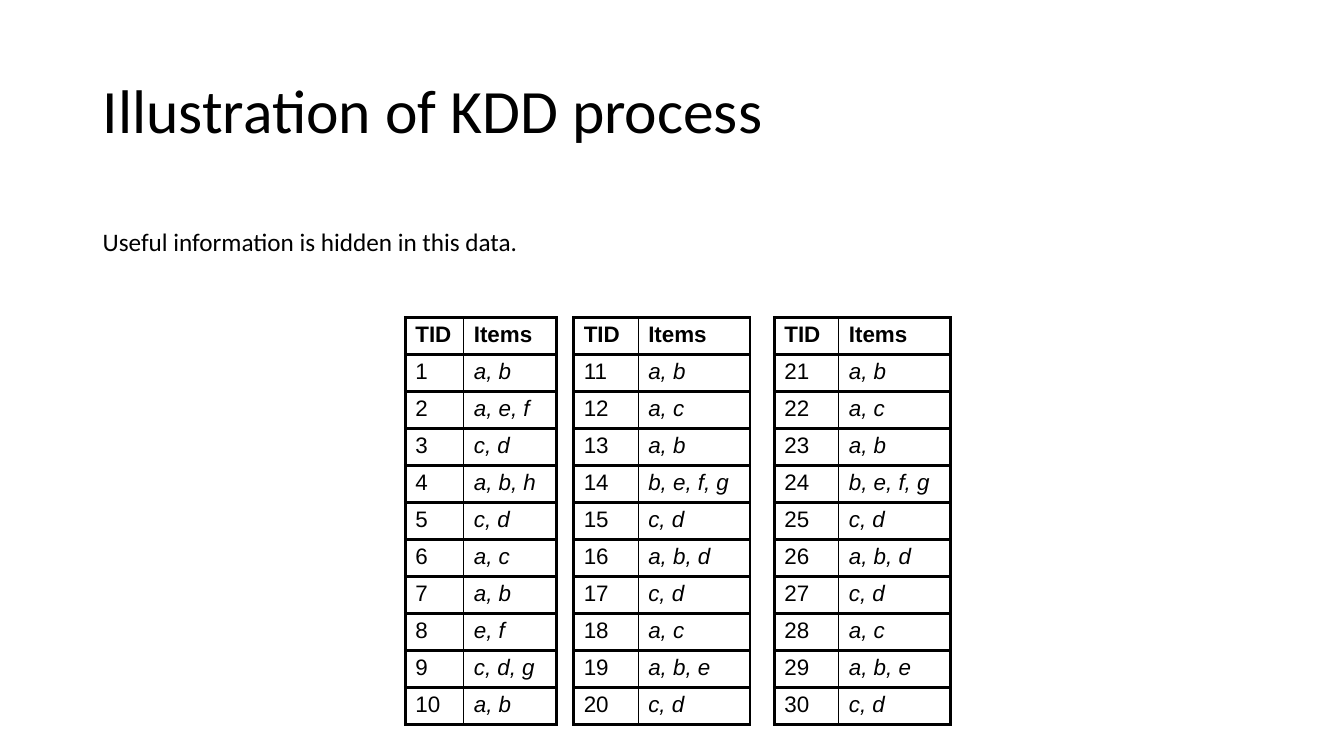
from dataclasses import dataclass

from lxml.etree import SubElement
from pptx import Presentation
from pptx.dml.color import RGBColor
from pptx.enum.text import MSO_ANCHOR, MSO_AUTO_SIZE, PP_ALIGN
from pptx.oxml.ns import qn
from pptx.slide import Slide
from pptx.table import _Cell
from pptx.text.text import _Paragraph
from pptx.util import Inches, Pt

BLACK = "000000"
WHITE = "FFFFFF"
TABLE_TOP = 3.15
TABLE_HEIGHT = 4.04
THICK = 2.25
THIN = 1


@dataclass(frozen=True)
class TransactionTable:
    left: float
    column_widths: tuple[float, float]
    first_tid: int
    item_sets: tuple[str, ...]


TRANSACTION_TABLES = (
    TransactionTable(4.02, (0.58, 0.92), 1, (
        "a, b", "a, e, f", "c, d", "a, b, h", "c, d",
        "a, c", "a, b", "e, f", "c, d, g", "a, b")),
    TransactionTable(5.69, (0.64, 1.11), 11, (
        "a, b", "a, c", "a, b", "b, e, f, g", "c, d",
        "a, b, d", "c, d", "a, c", "a, b, e", "c, d")),
    TransactionTable(7.68, (0.64, 1.11), 21, (
        "a, b", "a, c", "a, b", "b, e, f, g", "c, d",
        "a, b, d", "c, d", "a, c", "a, b, e", "c, d")),
)


def color(value: str) -> RGBColor:
    return RGBColor.from_string(value)


def format_font(paragraph: _Paragraph, name: str, size: float,
                bold: bool = False, italic: bool = False) -> None:
    font = paragraph.font
    font.name = name
    font.size = Pt(size)
    font.bold = bold
    font.italic = italic
    font.color.rgb = color(BLACK)


def add_borders(cell: _Cell, left: float, right: float) -> None:
    properties = cell._tc.get_or_add_tcPr()
    widths = {"a:lnL": left, "a:lnR": right, "a:lnT": THICK, "a:lnB": THICK}
    for tag, width in widths.items():
        line = SubElement(properties, qn(tag), w=str(Pt(width)))
        fill = SubElement(line, qn("a:solidFill"))
        SubElement(fill, qn("a:srgbClr"), val=BLACK)


def add_transaction_table(slide: Slide, spec_table: TransactionTable) -> None:
    rows = [("TID", "Items")]
    for tid, items in enumerate(spec_table.item_sets, spec_table.first_tid):
        rows.append((str(tid), items))
    frame = slide.shapes.add_table(
        len(rows), 2, Inches(spec_table.left), Inches(TABLE_TOP),
        Inches(sum(spec_table.column_widths)), Inches(TABLE_HEIGHT))
    table = frame.table
    table.first_row = False
    table.horz_banding = False
    for column, width in zip(table.columns, spec_table.column_widths):
        column.width = Inches(width)
    for row_index, row in enumerate(rows):
        for column_index, text in enumerate(row):
            is_header = row_index == 0
            is_items = column_index == 1
            cell = table.cell(row_index, column_index)
            cell.text = text
            format_font(cell.text_frame.paragraphs[0], "Arial", 16,
                        bold=is_header, italic=is_items and not is_header)
            if is_items:
                add_borders(cell, left=THIN, right=THICK)
            else:
                add_borders(cell, left=THICK, right=THIN)
            cell.fill.solid()
            cell.fill.fore_color.rgb = color(WHITE)


def add_title(slide: Slide, text: str) -> None:
    title = slide.shapes.title
    title.left, title.top = Inches(0.92), Inches(0.4)
    title.width, title.height = Inches(11.5), Inches(1.45)
    text_frame = title.text_frame
    text_frame.text = text
    text_frame.vertical_anchor = MSO_ANCHOR.MIDDLE
    paragraph = text_frame.paragraphs[0]
    paragraph.alignment = PP_ALIGN.LEFT
    paragraph.line_spacing = 0.9
    format_font(paragraph, "Calibri", 44)


def add_caption(slide: Slide, text: str) -> None:
    caption = slide.shapes.add_textbox(
        Inches(0.92), Inches(2.2), Inches(4.37), Inches(0.4))
    text_frame = caption.text_frame
    text_frame.text = text
    text_frame.word_wrap = False
    text_frame.auto_size = MSO_AUTO_SIZE.SHAPE_TO_FIT_TEXT
    format_font(text_frame.paragraphs[0], "Calibri", 18)


def main() -> None:
    presentation = Presentation()
    presentation.slide_width = Inches(13.33)
    presentation.slide_height = Inches(7.5)
    slide = presentation.slides.add_slide(presentation.slide_layouts[5])
    add_title(slide, "Illustration of KDD process")
    add_caption(slide, "Useful information is hidden in this data.")
    for transaction_table in TRANSACTION_TABLES:
        add_transaction_table(slide, transaction_table)
    presentation.save("out.pptx")


if __name__ == "__main__":
    main()
